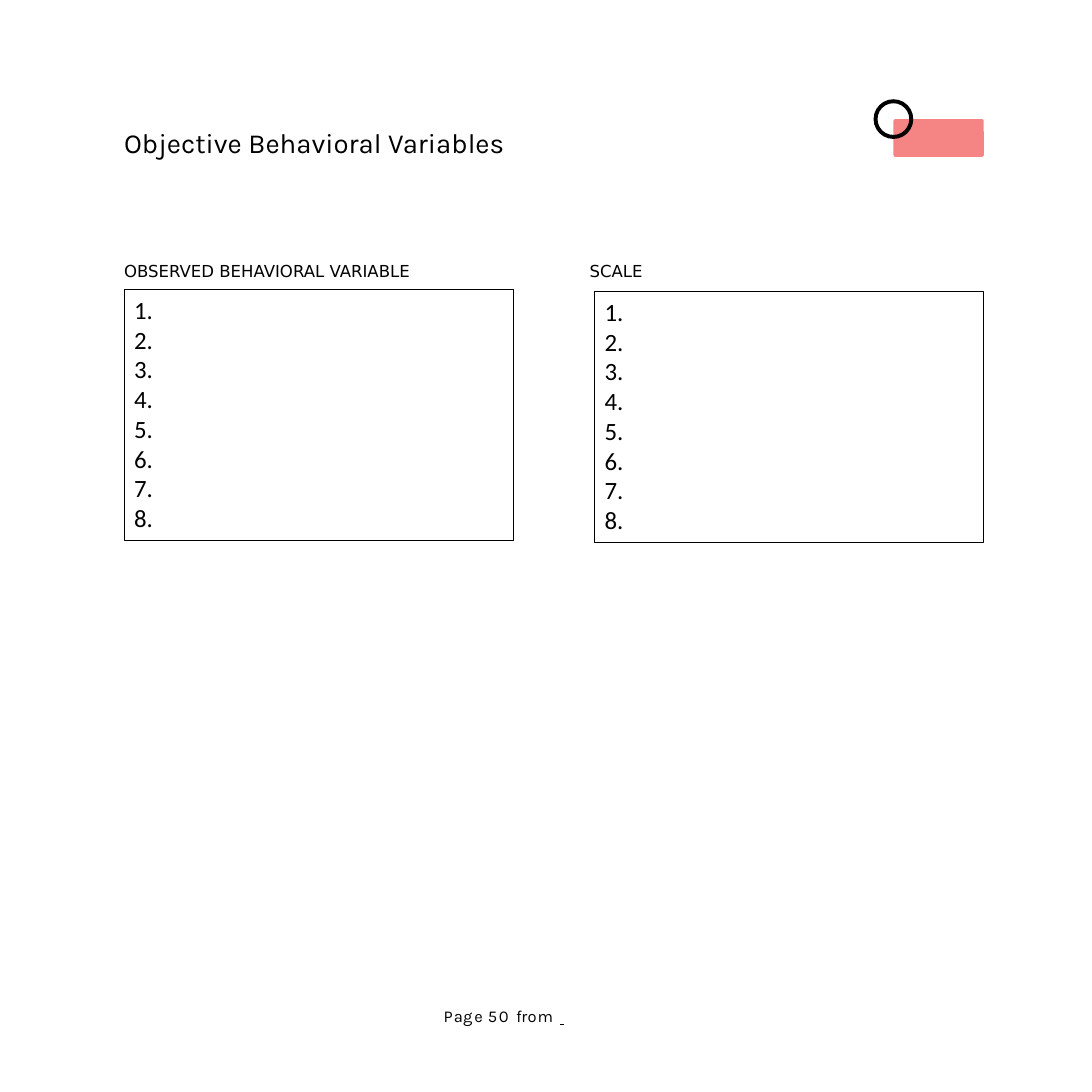
import pptx
import pptx.util
import pptx.dml.color
import pptx.enum.shapes
import pptx.enum.text
from lxml import etree

Inches, Pt = pptx.util.Inches, pptx.util.Pt
Shape = pptx.enum.shapes.MSO_SHAPE
Text = pptx.enum.text

COLORS = {"ink": "000000", "coral": "F58585", "paper": "FFFFFF"}
TITLE = "Objective Behavioral Variables"
COUNT = 8
# heading, heading left, heading width, box left, box top
LISTS = [
    ("OBSERVED BEHAVIORAL VARIABLE", 1.25, 3.08, 1.25, 2.92),
    ("SCALE", 5.94, 0.58, 5.99, 2.94),
]
# text, letter spacing in points
FOOTER = [("P", 0.7), ("a", 0.2), ("g", 1.4), ("e ", 0.4), ("50 ", 1.2),
          ("fr", -0.1), ("o", 0.7), ("m ", 1.1), (" \t", 0)]
# preset, left, top, width, height, adjustment, colour
MARKS = [
    (Shape.ROUNDED_RECTANGLE, 9, 1.2, 0.91, 0.38, 0.05, "coral"),
    (Shape.DONUT, 8.8, 1, 0.4, 0.4, 0.1, "ink"),
]


def color(name):
    return pptx.dml.color.RGBColor.from_string(COLORS[name])


def place(shape, left, top, width, height):
    shape.left, shape.top = Inches(left), Inches(top)
    shape.width, shape.height = Inches(width), Inches(height)


def setup(frame, inset, wrap=False):
    """Pin the text to the top left with only a top inset."""
    frame.margin_left = frame.margin_right = frame.margin_bottom = 0
    frame.margin_top = Inches(inset)
    frame.word_wrap = wrap
    frame.auto_size = Text.MSO_AUTO_SIZE.NONE
    frame.vertical_anchor = Text.MSO_ANCHOR.TOP


def style(font, size, face=None):
    font.size = Pt(size)
    font.color.rgb = color("ink")
    if face:
        font.name = face


def child(parent, tag, **attrs):
    node = etree.SubElement(parent, pptx.oxml.ns.qn(tag))
    for key, value in attrs.items():
        node.set(key, str(value))
    return node


def add_title(slide):
    title = slide.shapes.title
    place(title, 1.25, 1.23, 4.62, 0.35)
    setup(title.text_frame, 0.04, True)
    title.text_frame.text = TITLE
    para = title.text_frame.paragraphs[0]
    para.alignment = Text.PP_ALIGN.LEFT
    style(para.runs[0].font, 20, "Karla")


def add_label(slide, text, left, width):
    box = slide.shapes.add_textbox(
        Inches(left), Inches(2.61), Inches(width), Inches(0.22))
    setup(box.text_frame, 0.02)
    box.text_frame.text = text
    style(box.text_frame.paragraphs[0].runs[0].font, 12, "DejaVu Sans")


def add_list(body, left, top):
    place(body, left, top, 3.92, 2.52)
    body.line.color.rgb = color("ink")
    body.line.width = Pt(0.75)
    frame = body.text_frame
    frame.auto_size = Text.MSO_AUTO_SIZE.NONE
    frame.text = "\n".join(f"{n}." for n in range(1, COUNT + 1))
    for para in frame.paragraphs:
        para.line_spacing = Pt(21.55)
        para.space_before = Pt(0)
        props = para._p.get_or_add_pPr()
        props.set("marL", "0")
        props.set("indent", "0")
        child(props, "a:buNone")
        style(para.runs[0].font, 18)


def add_mark(slide, kind, left, top, width, height, bend, fill):
    mark = slide.shapes.add_shape(
        kind, Inches(left), Inches(top), Inches(width), Inches(height))
    mark.adjustments[0] = bend
    mark.shadow.inherit = False
    mark.fill.solid()
    mark.fill.fore_color.rgb = color(fill)
    mark.line.fill.background()


def add_footer(slide):
    box = slide.shapes.add_textbox(
        Inches(4.46), Inches(10.14), Inches(1.41), Inches(0.2))
    setup(box.text_frame, 0, True)
    para = box.text_frame.paragraphs[0]
    para.line_spacing = Pt(14.1)
    props = para._p.get_or_add_pPr()
    props.set("marL", str(Inches(0.01)))
    tabs = child(props, "a:tabLst")
    child(tabs, "a:tab", pos=Inches(1.35), algn="l")
    for text, gap in FOOTER:
        run = para.add_run()
        run.text = text
        style(run.font, 12, "Karla")
        run._r.get_or_add_rPr().set("spc", str(round(gap * 100)))
    blank = para.runs[-1].font
    blank.name = "Times New Roman"
    blank.underline = True


def main():
    deck = pptx.Presentation()
    deck.slide_width = deck.slide_height = Inches(11)
    slide = deck.slides.add_slide(deck.slide_layouts.get_by_name("Two Content"))
    slide.background.fill.solid()
    slide.background.fill.fore_color.rgb = color("paper")
    add_title(slide)
    for spot, (head, x, width, left, top) in enumerate(LISTS, 1):
        add_label(slide, head, x, width)
        add_list(slide.placeholders[spot], left, top)
    for mark in MARKS:
        add_mark(slide, *mark)
    add_footer(slide)
    deck.save("out.pptx")


if __name__ == "__main__":
    main()
